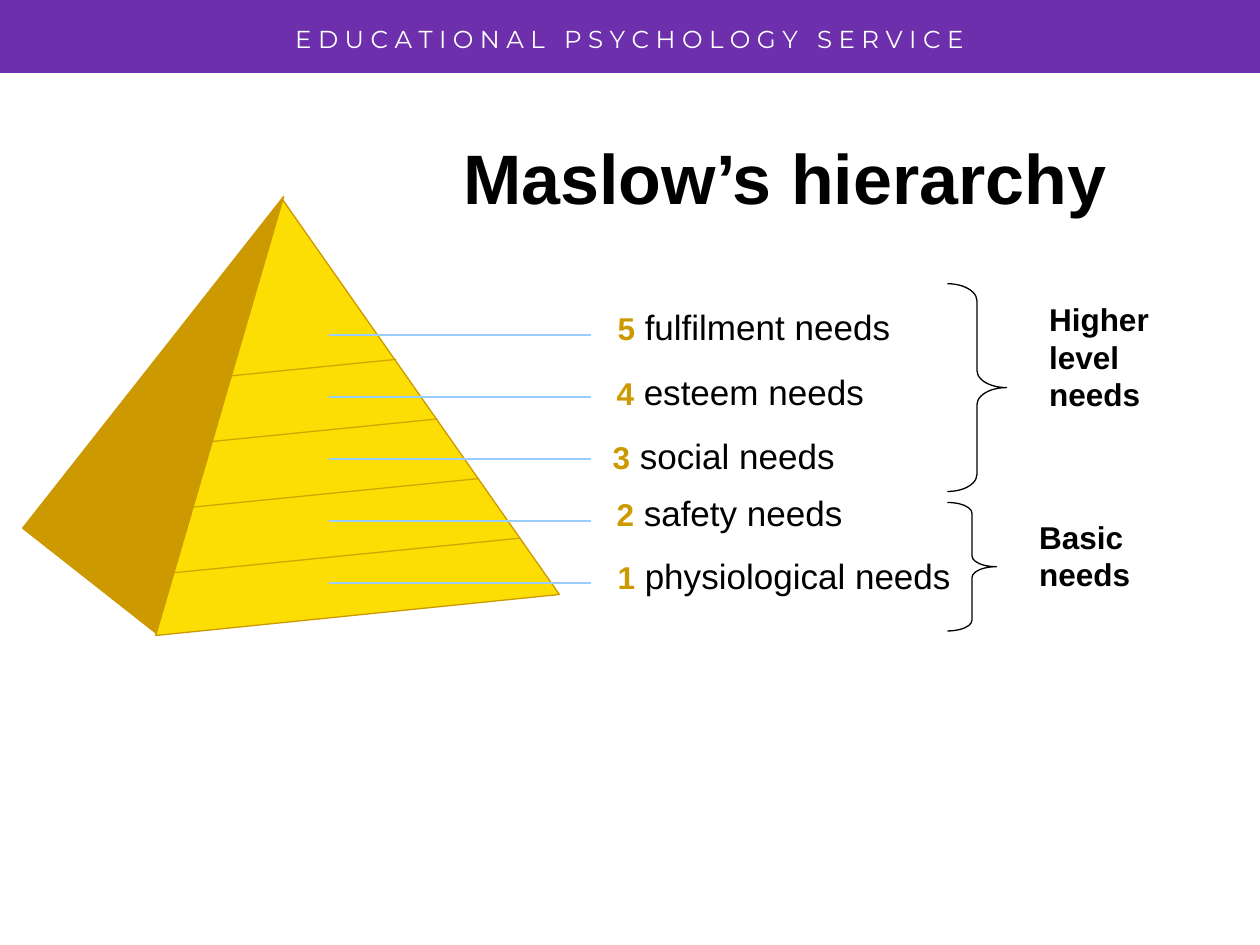
from pptx import Presentation, util as u
from pptx.dml.color import RGBColor
from pptx.enum import shapes, text
from pptx.oxml.ns import qn
from lxml import etree

Cm, Pt = u.Cm, u.Pt
SHAPE = shapes.MSO_SHAPE
GOLD, YELLOW, SKY = "CC9900", "FCDE04", "99CCFF"
PURPLE, WHITE, BLACK = "6D2FAB", "FFFFFF", "000000"


def paint(colour_format, hex_colour):
    colour_format.rgb = RGBColor.from_string(hex_colour)


def add_form(slide, preset, box, fill=None, line=None, rotation=0, adjust=()):
    form = slide.shapes.add_shape(preset, *map(Cm, box))
    form.shadow.inherit = False
    form.rotation = rotation
    for index, value in enumerate(adjust):
        form.adjustments[index] = value
    if fill:
        form.fill.solid()
        paint(form.fill.fore_color, fill)
    else:
        form.fill.background()
    if line:
        paint(form.line.color, line)
        form.line.width = Pt(0.75)
    else:
        form.line.fill.background()


def add_line(slide, start, end, colour, width, opacity=None):
    line = slide.shapes.add_connector(
        shapes.MSO_CONNECTOR.STRAIGHT, *map(Cm, (*start, *end)))
    paint(line.line.color, colour)
    line.line.width = Pt(width)
    properties = line._element.spPr
    if opacity:
        tone = next(properties.iter(qn("a:srgbClr")))
        etree.SubElement(tone, qn("a:alpha")).set("val", str(opacity * 1000))
    etree.SubElement(properties, qn("a:effectLst"))


def write(paragraph, wording, colour, **font):
    run = paragraph.add_run()
    run.text = wording
    for name, value in {"name": "Arial", **font}.items():
        setattr(run.font, name, value)
    paint(run.font.color, colour)


def add_text(slide, box):
    """Add a wrapping text box and return its first paragraph."""
    frame = slide.shapes.add_textbox(*map(Cm, box)).text_frame
    frame.word_wrap = True
    return frame.paragraphs[0]


def add_header(slide, box):
    left, top, width, height = box
    add_form(slide, SHAPE.RECTANGLE, box, fill=PURPLE)
    service = add_text(slide, (left, top + 0.36, width, height - 0.63))
    service.alignment = text.PP_ALIGN.CENTER
    write(service, " ".join("EDUCATIONAL PSYCHOLOGY SERVICE"), WHITE,
          name="Montserrat", size=Pt(14))


def add_title(slide, box):
    title = slide.shapes.title
    title.left, title.top, title.width, title.height = map(Cm, box)
    title.text_frame.vertical_anchor = text.MSO_ANCHOR.MIDDLE
    heading = title.text_frame.paragraphs[0]
    heading.alignment = text.PP_ALIGN.CENTER
    write(heading, "Maslow’s hierarchy", BLACK, size=Pt(40), bold=True)


def add_pyramid(slide, box):
    left, top, width, height = box
    add_form(slide, SHAPE.ISOSCELES_TRIANGLE,
             (left + 0.03, top + 0.17, 3.43, 8.51), GOLD, GOLD, 38.2, [0])
    add_form(slide, SHAPE.ISOSCELES_TRIANGLE, box, YELLOW, GOLD, 354.2, [0.42])

    apex = (left + 3.02, top + 0.02)
    base_corners = ((left + 0.47, top + 8.84), (left + 8.58, top + 8.03))
    for level in range(4):
        depth = 0.41 + 0.15 * level
        start, end = ([a + depth * (c - a) for a, c in zip(apex, corner)]
                      for corner in base_corners)
        add_line(slide, start, end, GOLD, 0.75, opacity=82)


def add_needs(slide, box):
    """Draw the leader lines and the numbered need beside each of them."""
    left, top, width, height = box
    needs = [
        (5, "fulfilment", 5.57, 0),
        (4, "esteem", 5.55, 1.32),
        (3, "social", 5.47, 2.62),
        (2, "safety", 5.55, 3.76),
        (1, "physiological", 5.57, 5.03),
    ]
    for row, (number, need, indent, drop) in enumerate(needs):
        y = top + 0.64 + 1.25 * row
        add_line(slide, (left, y), (left + 5.28, y), SKY, 1.25)
        label = add_text(slide, (left + indent, top + drop, width - 5.57, 1.17))
        label.line_spacing = 0.9
        write(label, str(number), GOLD, size=Pt(18), bold=True)
        write(label, f" {need} needs", BLACK, size=Pt(20), bold=False)


def add_bracket(slide, box, curl, wording, label_box):
    """Draw a brace in box; label_box is relative to the brace's corner."""
    left, top, *_ = box
    add_form(slide, SHAPE.RIGHT_BRACE, box, line=BLACK, adjust=[curl, 0.5])
    dx, dy, width, height = label_box
    label = add_text(slide, (left + dx, top + dy, width, height))
    write(label, wording, BLACK, size=Pt(18), bold=True)


def main():
    deck = Presentation()
    deck.slide_width, deck.slide_height = Cm(25.4), Cm(19.05)
    slide = deck.slides.add_slide(deck.slide_layouts[5])
    add_header(slide, (0, 0, 25.4, 1.47))
    add_title(slide, (8.1, 2.39, 15.44, 2.34))
    add_pyramid(slide, (2.69, 3.94, 8.18, 8.48))
    add_needs(slide, (6.63, 6.12, 13.93, 6.2))
    add_bracket(slide, (19.1, 5.72, 1.19, 4.19), 0.29,
                "Higher level needs", (1.8, 0.2, 3.4, 3.3))
    add_bracket(slide, (19.1, 10.13, 0.99, 2.59), 0.22,
                "Basic needs", (1.6, 0.18, 3.2, 2.29))
    deck.save("out.pptx")


if __name__ == "__main__":
    main()
